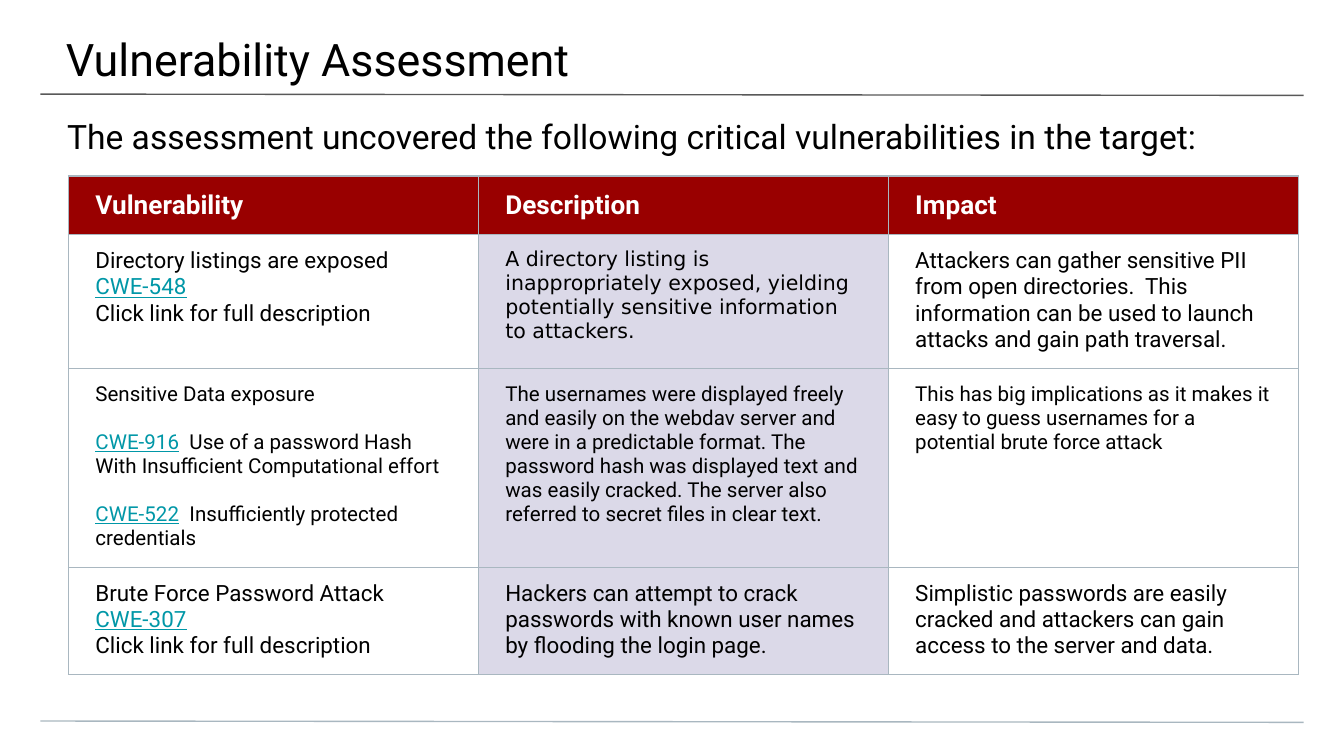
from dataclasses import dataclass
from pptx import Presentation
from pptx.dml.color import RGBColor
from pptx.enum.shapes import MSO_CONNECTOR
from pptx.enum.text import MSO_ANCHOR
from pptx.oxml.ns import qn
from pptx.util import Emu, Pt
from lxml import etree

LINE = MSO_CONNECTOR.STRAIGHT
TOP, MIDDLE = MSO_ANCHOR.TOP, MSO_ANCHOR.MIDDLE


@dataclass(frozen=True)
class Theme:
    font: str = "Roboto"
    alt: str = "DejaVu Sans"
    black: str = "000000"
    white: str = "FFFFFF"
    red: str = "990000"
    lilac: str = "DBD9E8"
    teal: str = "0097A7"
    gray: str = "595959"
    border: str = "A9B7C0"
    title: float = 24
    lead: float = 18
    head: float = 14
    body: float = 12
    small: float = 11
    rule: float = 0.75
    gap: float = 12.9


T = Theme()
COLS = [610, 610, 610]
ROWS = [72, 168, 248, 140]
HEADS = ["Vulnerability", "Description", "Impact"]
CLICK = "Click link for full description"

# Each cell: type size, font, paragraphs; a paragraph is a list of texts.
BODY = [
    [
        (T.body, T.font, [["Directory listings are exposed"], ["CWE-548"], [CLICK]]),
        (T.small, T.alt, [["A directory listing is inappropriately exposed, yielding "
                           "potentially sensitive information to attackers."]]),
        (T.body, T.font, [["Attackers can gather sensitive PII from open directories.  "
                           "This information can be used to launch attacks and gain "
                           "path traversal."]]),
    ],
    [
        (T.small, T.font, [
            ["Sensitive Data exposure"],
            ["CWE-916", "  Use of a password Hash With Insufficient Computational effort"],
            ["CWE-522", "  Insufficiently protected credentials"],
        ]),
        (T.small, T.font, [["The usernames were displayed freely and easily on the webdav "
                            "server and were in a predictable format. The password hash "
                            "was displayed text and was easily cracked. The server also "
                            "referred to secret files in clear text."]]),
        (T.small, T.font, [["This has big implications as it makes it easy to guess "
                            "usernames for a potential brute force attack"]]),
    ],
    [
        (T.body, T.font, [["Brute Force Password Attack"], ["CWE-307"], [CLICK]]),
        (T.body, T.font, [["Hackers can attempt to crack passwords with known user names "
                           "by flooding the login page."]]),
        (T.body, T.font, [["Simplistic passwords are easily cracked and attackers can "
                           "gain access to the server and data."]]),
    ],
]


def px(n):
    """Turn px, at 200 to the inch, into EMU."""
    return Emu(n * 4572)


def rgb(code):
    return RGBColor.from_string(code)


def add_run(para, text, size, color, font=T.font, bold=False, under=False):
    run = para.add_run()
    run.text = text
    face = run.font
    face.name, face.size = font, Pt(size)
    face.bold, face.underline = bold, under
    face.color.rgb = rgb(color)


def set_pad(item, left, top, right, bottom):
    item.margin_left, item.margin_top = px(left), px(top)
    item.margin_right, item.margin_bottom = px(right), px(bottom)


def add_text(slide, box, pad, text, size):
    frame = slide.shapes.add_textbox(*map(px, box)).text_frame
    frame.word_wrap = True
    frame.vertical_anchor = TOP
    set_pad(frame, *pad)
    add_run(frame.paragraphs[0], text, size, T.black)


def add_rule(slide, y, color):
    line = slide.shapes.add_connector(LINE, px(60), px(y), px(1940), px(y + 2))
    line.line.color.rgb = rgb(color)
    line.line.width = Pt(T.rule)
    etree.SubElement(line._element.spPr, qn("a:effectLst"))


def style_cell(cell, fill, anchor):
    set_pad(cell, 40, 20, 40, 20)
    cell.vertical_anchor = anchor
    props = cell._tc.get_or_add_tcPr()
    for side in "LRTB":
        edge = etree.SubElement(props, qn(f"a:ln{side}"), w=str(Pt(T.rule)))
        paint = etree.SubElement(edge, qn("a:solidFill"))
        etree.SubElement(paint, qn("a:srgbClr"), val=T.border)
    if fill:
        cell.fill.solid()
        cell.fill.fore_color.rgb = rgb(fill)
    else:
        cell.fill.background()


def fill_cell(cell, size, font, paras):
    """Write paragraphs; CWE names look like links, mixed ones stand apart."""
    frame = cell.text_frame
    for i, texts in enumerate(paras):
        para = frame.add_paragraph() if i else frame.paragraphs[0]
        if len(texts) > 1:
            para.space_before = Pt(T.gap)
        for text in texts:
            link = text.startswith("CWE-")
            add_run(para, text, size, T.teal if link else T.black, font, under=link)


def add_grid(slide):
    frame = slide.shapes.add_table(len(ROWS), len(COLS), px(102), px(262),
                                   px(sum(COLS)), px(sum(ROWS)))
    table = frame.table
    table.first_row = table.horz_banding = False
    for col, width in zip(table.columns, COLS):
        col.width = px(width)
    for row, height in zip(table.rows, ROWS):
        row.height = px(height)
    for c, head in enumerate(HEADS):
        cell = table.cell(0, c)
        style_cell(cell, T.red, MIDDLE)
        add_run(cell.text_frame.paragraphs[0], head, T.head, T.white, bold=True)
    for r, row in enumerate(BODY, 1):
        for c, item in enumerate(row):
            cell = table.cell(r, c)
            style_cell(cell, T.lilac if c == 1 else None, TOP)
            fill_cell(cell, *item)


def main():
    deck = Presentation()
    deck.slide_width, deck.slide_height = px(2000), px(1125)
    slide = deck.slides.add_slide(deck.slide_layouts[6])
    add_rule(slide, 140, T.gray)
    add_rule(slide, 1073, T.border)
    add_text(slide, (-2, 0, 2006, 116), (100, 47, 60, 20),
             "Vulnerability Assessment", T.title)
    add_text(slide, (0, 148, 2000, 80), (100, 24, 100, 0),
             "The assessment uncovered the following critical vulnerabilities "
             "in the target:", T.lead)
    add_grid(slide)
    deck.save("out.pptx")


if __name__ == "__main__":
    main()
